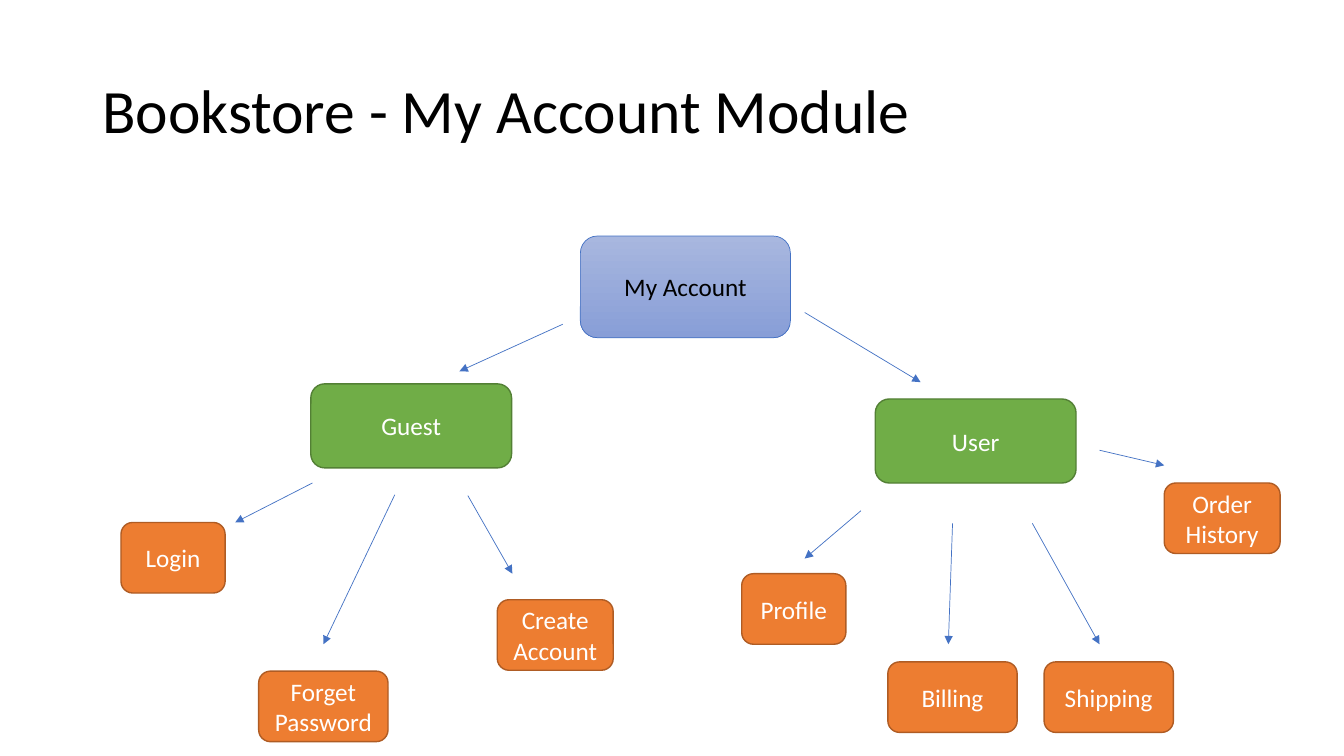
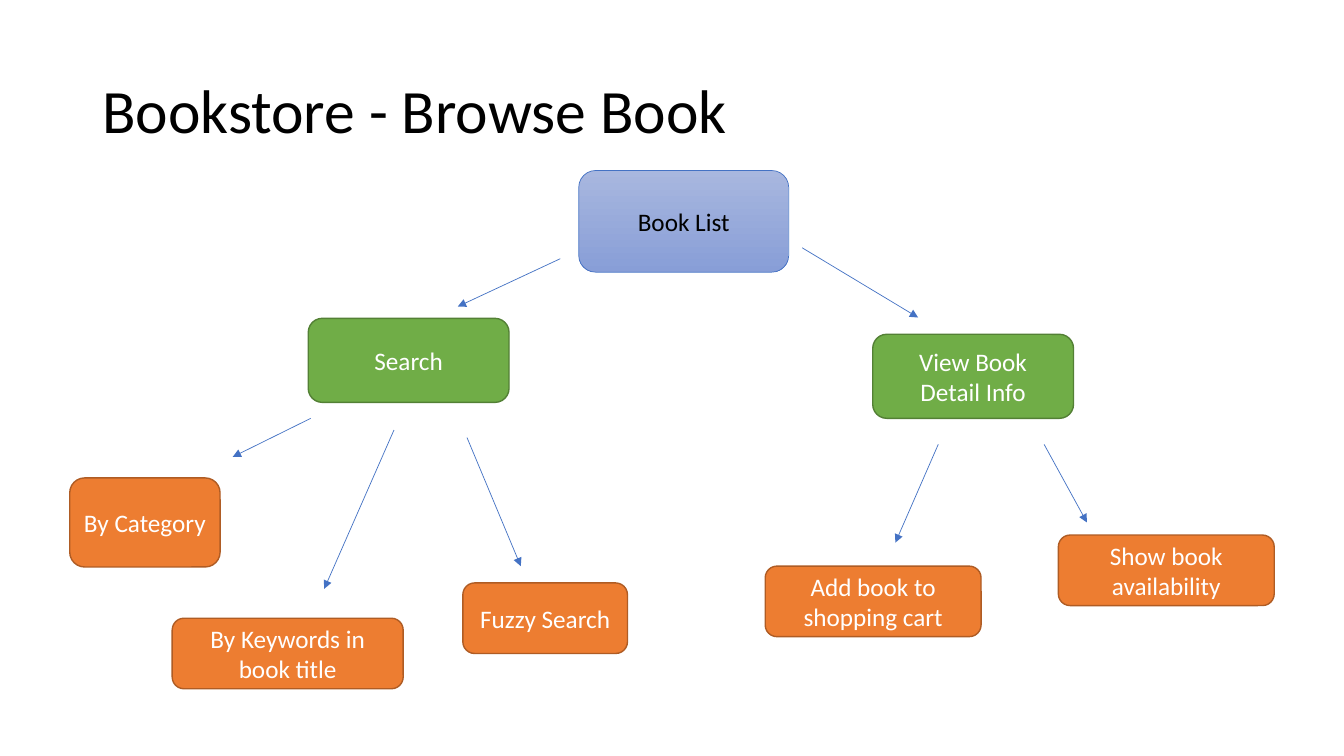
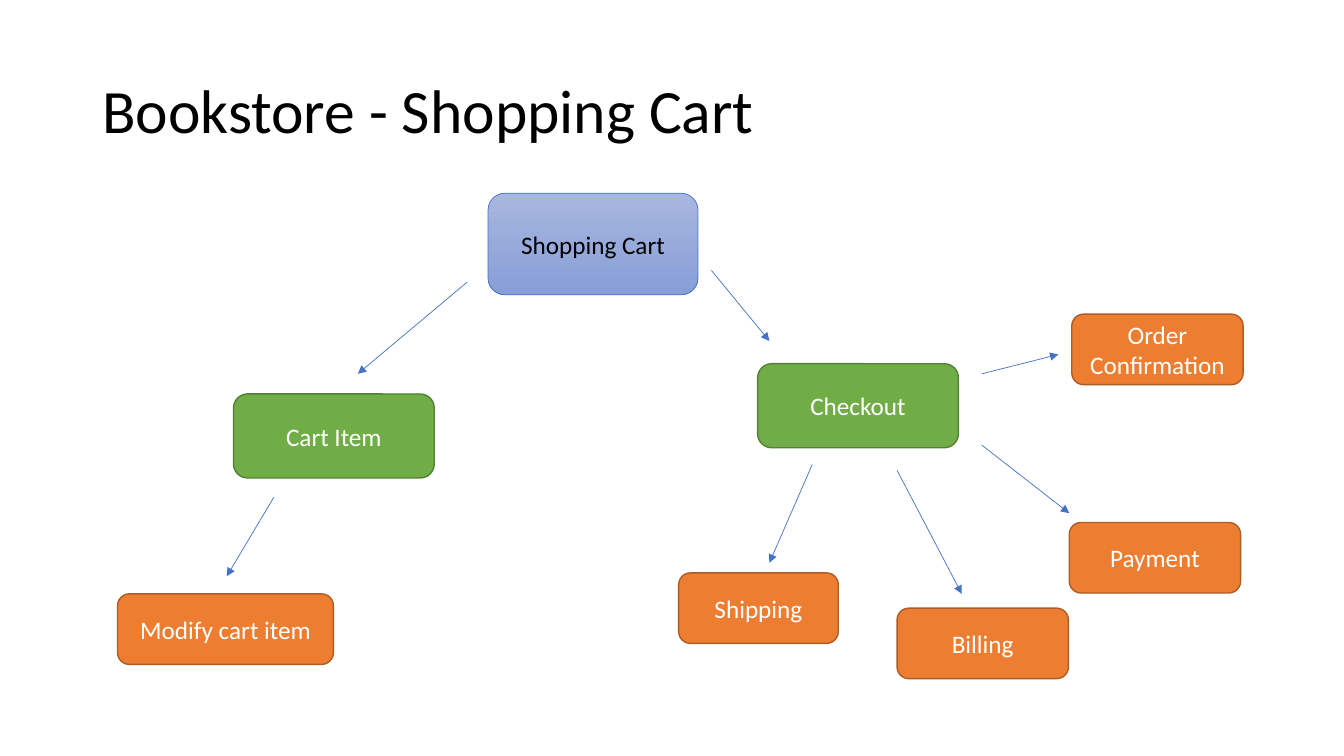
from lxml import etree
from pptx import Presentation
from pptx import util as u
from pptx.dml.color import RGBColor
from pptx.enum import shapes, text
from pptx.oxml.ns import qn

COLS, ROWS = 160, 90
CELL = u.Inches(7.5) // ROWS
FONT = "Calibri"
BLUE, BLACK, WHITE = "4472C4", "000000", "FFFFFF"


def rgb(value):
    return RGBColor.from_string(value)


def cells(*lengths):
    """Turn grid columns or rows into slide lengths."""
    return [u.Emu(round(n * CELL)) for n in lengths]


def write(tf, words, size=18, color=WHITE, align=text.PP_ALIGN.CENTER, spacing=1.0):
    tf.word_wrap = True
    tf.vertical_anchor = text.MSO_ANCHOR.MIDDLE
    p = tf.paragraphs[0]
    p.alignment, p.line_spacing = align, spacing
    r = p.add_run()
    r.text = words
    r.font.name, r.font.size, r.font.color.rgb = FONT, u.Pt(size), rgb(color)


class Deck:
    def __init__(self):
        self.prs = Presentation()
        self.prs.slide_width, self.prs.slide_height = cells(COLS, ROWS)
        self.s = None

    def slide(self, title):
        self.s = self.prs.slides.add_slide(self.prs.slide_layouts[6])
        box = self.s.shapes.add_textbox(*cells(11, 4.8, 138, 17.4))
        write(box.text_frame, title, size=44, color=BLACK,
              align=text.PP_ALIGN.LEFT, spacing=0.9)

    def node(self, words, x, y, w, h, fill, line, weight=1.0, color=WHITE):
        """Add a rounded box; a pair of fill colours gives a vertical gradient."""
        sp = self.s.shapes.add_shape(
            shapes.MSO_SHAPE.ROUNDED_RECTANGLE, *cells(x, y, w, h))
        sp.shadow.inherit = False
        if isinstance(fill, tuple):
            sp.fill.gradient()
            sp.fill.gradient_angle = 270
            for stop, shade in zip(sp.fill.gradient_stops, fill):
                stop.color.rgb = rgb(shade)
        else:
            sp.fill.solid()
            sp.fill.fore_color.rgb = rgb(fill)
        sp.line.color.rgb, sp.line.width = rgb(line), u.Pt(weight)
        write(sp.text_frame, words, color=color)

    def root(self, words, x, y):
        self.node(words, x, y, 25, 12.1, ("A8B7DF", "889ED7"), BLUE, 0.5, BLACK)

    def branch(self, words, x, y):
        self.node(words, x, y, 23.9, 10, "70AD47", "538035")

    def leaf(self, words, x, y, w, h=8.4):
        self.node(words, x, y, w, h, "ED7D31", "AF5C24")

    def arrow(self, *ends):
        c = self.s.shapes.add_connector(shapes.MSO_CONNECTOR.STRAIGHT, *cells(*ends))
        c.line.color.rgb, c.line.width = rgb(BLUE), u.Pt(0.5)
        etree.SubElement(c.line._get_or_add_ln(), qn("a:tailEnd"), type="triangle")
        etree.SubElement(c._element.spPr, qn("a:effectLst"))

    def tree(self, title, root, branches, leaves, arrows):
        self.slide(title)
        self.root(*root)
        for add, items in ((self.branch, branches), (self.leaf, leaves),
                           (self.arrow, arrows)):
            for item in items:
                add(*item)


TREES = [
    dict(
        title="Bookstore - My Account Module",
        root=("My Account", 69.1, 28.1),
        branches=[("Guest", 37, 45.7), ("User", 104.2, 47.5)],
        leaves=[
            ("Login", 14.4, 62.2, 12.4),
            ("Create Account", 59.2, 71.4, 13.8),
            ("Forget Password", 30.8, 79.9, 15.4),
            ("Profile", 88.3, 68.3, 12.4),
            ("Order History", 138.6, 57.5, 13.8),
            ("Billing", 105.7, 78.8, 15.4),
            ("Shipping", 124.3, 78.8, 15.4),
        ],
        arrows=[
            (67, 38.6, 54.7, 44.2), (95.8, 37.2, 109.6, 45.5),
            (37.2, 57.5, 28, 62.2), (47, 58.9, 38.5, 76.7),
            (55.7, 59, 61, 68.3), (102.5, 60.8, 95.8, 66.5),
            (113.4, 62.3, 112.9, 76.7), (122.9, 62.3, 130.9, 76.7),
            (130.9, 53.6, 138.6, 55.4),
        ],
    ),
    dict(
        title="Bookstore - Browse Book",
        root=("Book List", 68.9, 20.3),
        branches=[("Search", 36.7, 37.9), ("View Book Detail Info", 103.9, 39.8)],
        leaves=[
            ("By Category", 8.3, 56.9, 17.9, 10.6),
            ("By Keywords in book title", 20.5, 73.6, 27.5),
            ("Fuzzy Search", 55.1, 69.4, 19.6),
            ("Add book to shopping cart", 91.1, 67.4, 25.7),
            ("Show book availability", 126, 63.7, 25.7),
        ],
        arrows=[
            (66.7, 30.8, 54.5, 36.5), (95.5, 29.5, 109.3, 37.8),
            (37, 49.8, 27.7, 54.4), (46.9, 51.2, 38.6, 70.1),
            (55.6, 52.1, 62, 67.4), (111.7, 52.9, 106.6, 64.6),
            (124.3, 52.9, 129.4, 62.2),
        ],
    ),
    dict(
        title="Bookstore - Shopping Cart",
        root=("Shopping Cart", 58.1, 23),
        branches=[("Cart Item", 27.8, 46.9), ("Checkout", 90.2, 43.3)],
        leaves=[
            ("Modify cart item", 14, 70.7, 25.7),
            ("Shipping", 80.8, 68.2, 19),
            ("Billing", 106.8, 72.4, 20.4),
            ("Payment", 127.3, 62.2, 20.4),
            ("Order Confirmation", 127.6, 37.4, 20.4),
        ],
        arrows=[
            (55.6, 33.6, 42.6, 44.5), (84.7, 32.2, 91.6, 40.6),
            (32.6, 59.2, 27, 68.6), (96.7, 55.3, 91.6, 67),
            (106.8, 56, 114.5, 70.7), (116.9, 53, 127.3, 61.1),
            (116.9, 44.5, 126, 42.2),
        ],
    ),
]


def main():
    deck = Deck()
    for tree in TREES:
        deck.tree(**tree)
    deck.prs.save("out.pptx")


if __name__ == "__main__":
    main()
